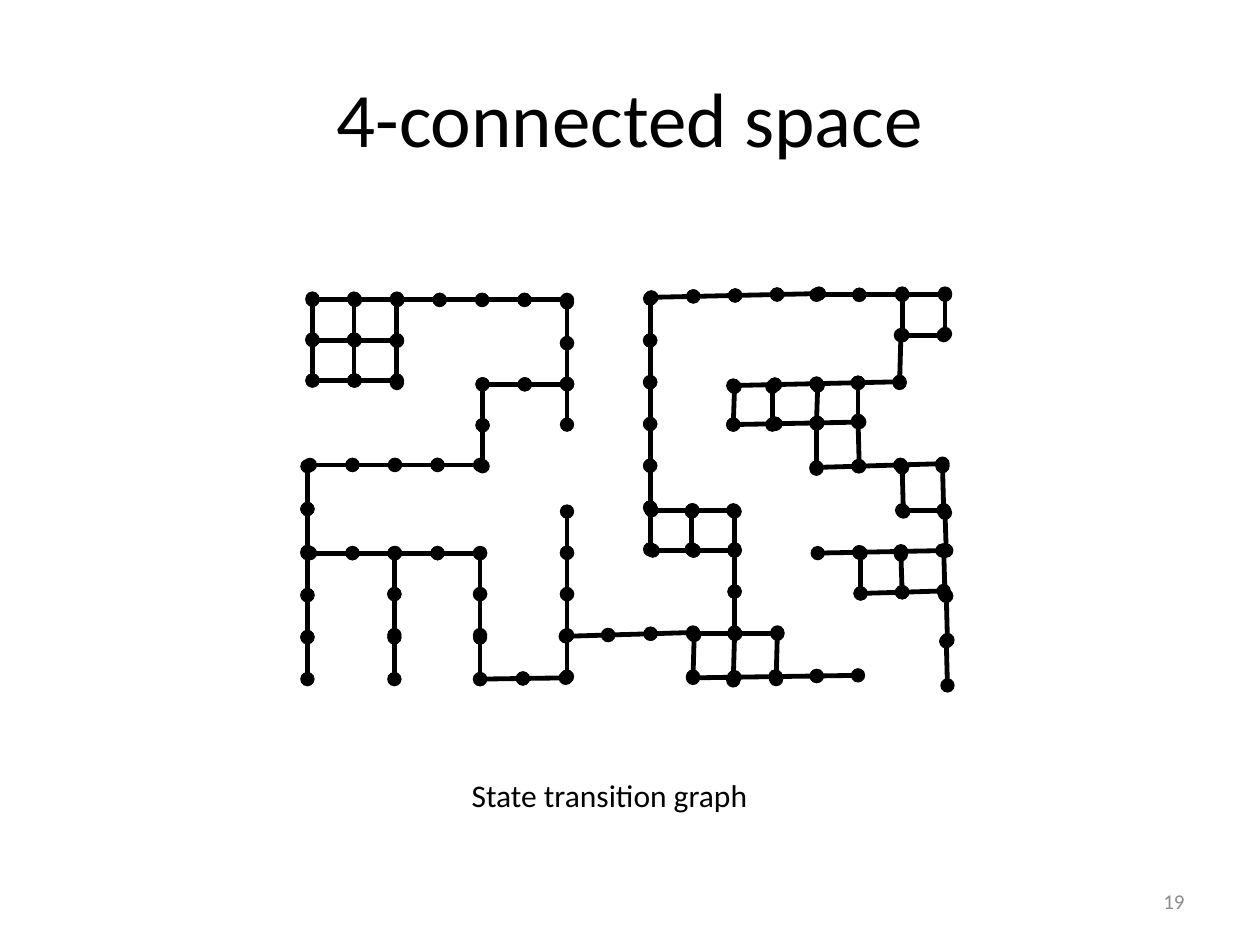
from pptx import Presentation
from pptx.dml.color import RGBColor
from pptx.enum.shapes import MSO_CONNECTOR
from pptx.enum.text import MSO_ANCHOR, MSO_AUTO_SIZE, PP_ALIGN
from pptx.oxml.ns import qn
from pptx.util import Inches, Pt
from lxml.etree import SubElement

BLACK = RGBColor(0x00, 0x00, 0x00)
GRAY = RGBColor(0x8B, 0x8B, 0x8B)
FONT = "Calibri"

# Each run: start x, start y, end x, end y, number of equal edges
LEFT = [
    (2.48, 2.38, 4.5, 2.38, 6),
    (2.48, 2.7, 3.15, 2.7, 2),
    (2.48, 3.02, 3.15, 3.02, 2),
    (2.46, 3.69, 3.81, 3.69, 4),
    (3.83, 3.05, 4.5, 3.05, 2),
    (2.46, 4.39, 3.81, 4.39, 4),
    (2.48, 2.37, 2.48, 3.02, 2),
    (2.81, 2.37, 2.81, 3.02, 2),
    (3.15, 2.37, 3.15, 3.04, 2),
    (4.5, 2.4, 4.5, 3.37, 3),
    (3.83, 3.05, 3.83, 3.7, 2),
    (2.44, 3.7, 2.44, 4.38, 2),
    (2.44, 4.39, 2.44, 5.39, 3),
    (3.13, 4.39, 3.13, 5.04, 2),
    (3.13, 5.06, 3.13, 5.39, 1),
    (3.81, 4.39, 3.81, 5.04, 2),
    (3.81, 5.06, 3.81, 5.39, 1),
    (4.5, 4.06, 4.5, 5.37, 4),
    (3.81, 5.39, 4.49, 5.38, 2),
]
MIDDLE = [
    (4.49, 5.05, 5.5, 5.02, 3),
    (5.5, 5.03, 6.17, 5.03, 2),
    (5.51, 5.04, 5.5, 5.37, 1),
    (5.83, 5.03, 5.82, 5.4, 1),
    (6.17, 5.02, 6.16, 5.39, 1),
    (5.5, 5.38, 6.81, 5.36, 4),
    (5.16, 2.37, 5.16, 4.36, 6),
    (5.83, 4.06, 5.83, 4.36, 1),
    (5.83, 4.37, 5.83, 5.02, 2),
    (5.83, 4.37, 5.18, 4.37, 2),
    (5.82, 4.05, 5.17, 4.05, 2),
    (5.49, 4.06, 5.49, 4.36, 1),
]
RIGHT = [
    (5.82, 3.37, 6.82, 3.35, 3),
    (5.82, 3.06, 7.14, 3.03, 4),
    (5.17, 2.36, 6.5, 2.33, 4),
    (6.48, 2.34, 7.5, 2.34, 3),
    (6.48, 3.71, 7.48, 3.68, 3),
    (6.49, 4.39, 7.48, 4.37, 3),
    (6.83, 4.71, 7.49, 4.69, 2),
    (7.16, 4.05, 7.49, 4.05, 1),
    (7.16, 2.66, 7.49, 2.66, 1),
    (7.5, 2.33, 7.5, 2.65, 1),
    (7.16, 2.33, 7.16, 2.66, 1),
    (7.15, 2.66, 7.14, 3.04, 1),
    (5.83, 3.07, 5.82, 3.37, 1),
    (6.13, 3.07, 6.13, 3.37, 1),
    (6.49, 3.06, 6.48, 3.36, 1),
    (6.81, 3.04, 6.81, 3.34, 1),
    (6.48, 3.36, 6.48, 3.72, 1),
    (6.81, 3.35, 6.82, 3.7, 1),
    (7.16, 3.71, 7.17, 4.06, 1),
    (7.48, 3.7, 7.49, 4.05, 1),
    (7.5, 4.07, 7.51, 4.37, 1),
    (7.49, 4.37, 7.5, 4.72, 1),
    (7.51, 4.73, 7.52, 5.08, 1),
    (7.51, 5.09, 7.52, 5.44, 1),
    (7.15, 4.4, 7.16, 4.7, 1),
    (6.83, 4.39, 6.83, 4.71, 1),
]


def write(frame, text, size, color, align):
    para = frame.paragraphs[0]
    para.alignment = align
    run = para.add_run()
    run.text = text
    run.font.name = FONT
    run.font.size = Pt(size)
    run.font.color.rgb = color


def add_title(slide, text):
    title = slide.shapes.title
    title.left, title.top = Inches(0.5), Inches(0.3)
    title.width, title.height = Inches(9), Inches(1.25)
    title.text_frame.vertical_anchor = MSO_ANCHOR.MIDDLE
    write(title.text_frame, text, 44, BLACK, PP_ALIGN.CENTER)


def add_label(slide, place, text, size, color, align, anchor):
    box = slide.shapes.add_textbox(*[Inches(v) for v in place])
    frame = box.text_frame
    frame.word_wrap = True
    frame.vertical_anchor = anchor
    write(frame, text, size, color, align)
    return frame


def add_edge(slide, *ends):
    edge = slide.shapes.add_connector(
        MSO_CONNECTOR.STRAIGHT, *[Inches(v) for v in ends])
    edge.line.color.rgb = BLACK
    edge.line.width = Pt(2.75)
    line = edge.line._get_or_add_ln()
    for tag in ("a:headEnd", "a:tailEnd"):
        SubElement(line, qn(tag), type="oval")
    SubElement(edge._element.spPr, qn("a:effectLst"))


def add_chain(slide, x1, y1, x2, y2, count):
    dx, dy = (x2 - x1) / count, (y2 - y1) / count
    for i in range(count):
        add_edge(slide, x1 + i * dx, y1 + i * dy,
                 x1 + (i + 1) * dx, y1 + (i + 1) * dy)


def main():
    deck = Presentation()
    deck.slide_width, deck.slide_height = Inches(10), Inches(7.5)
    slide = deck.slides.add_slide(deck.slide_layouts[5])
    add_title(slide, "4-connected space")
    add_label(slide, (7.17, 6.95, 2.33, 0.4), "19", 12, GRAY,
              PP_ALIGN.RIGHT, MSO_ANCHOR.MIDDLE)
    label = add_label(slide, (3.24, 6.11, 3.25, 0.4),
                      "State transition graph ", 18, BLACK,
                      PP_ALIGN.CENTER, MSO_ANCHOR.TOP)
    label.auto_size = MSO_AUTO_SIZE.SHAPE_TO_FIT_TEXT
    for chain in LEFT + MIDDLE + RIGHT:
        add_chain(slide, *chain)
    deck.save("out.pptx")


if __name__ == "__main__":
    main()
